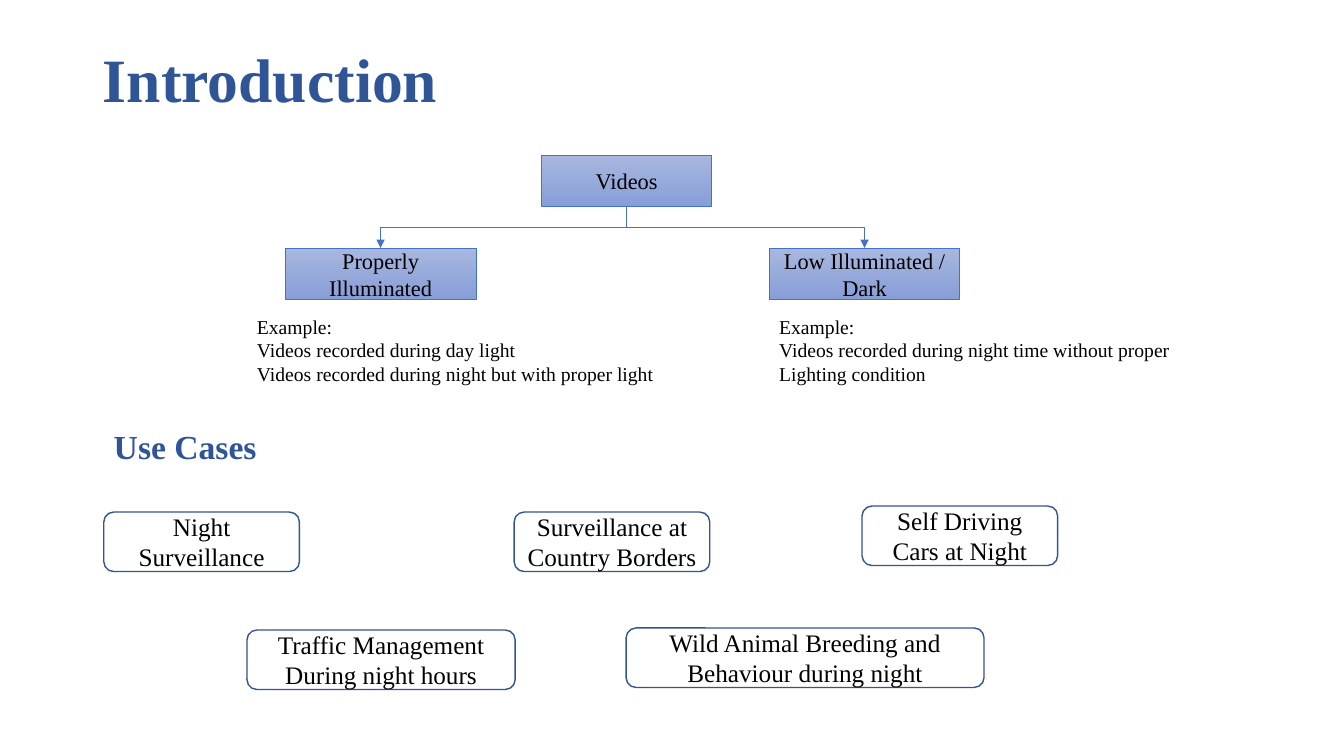
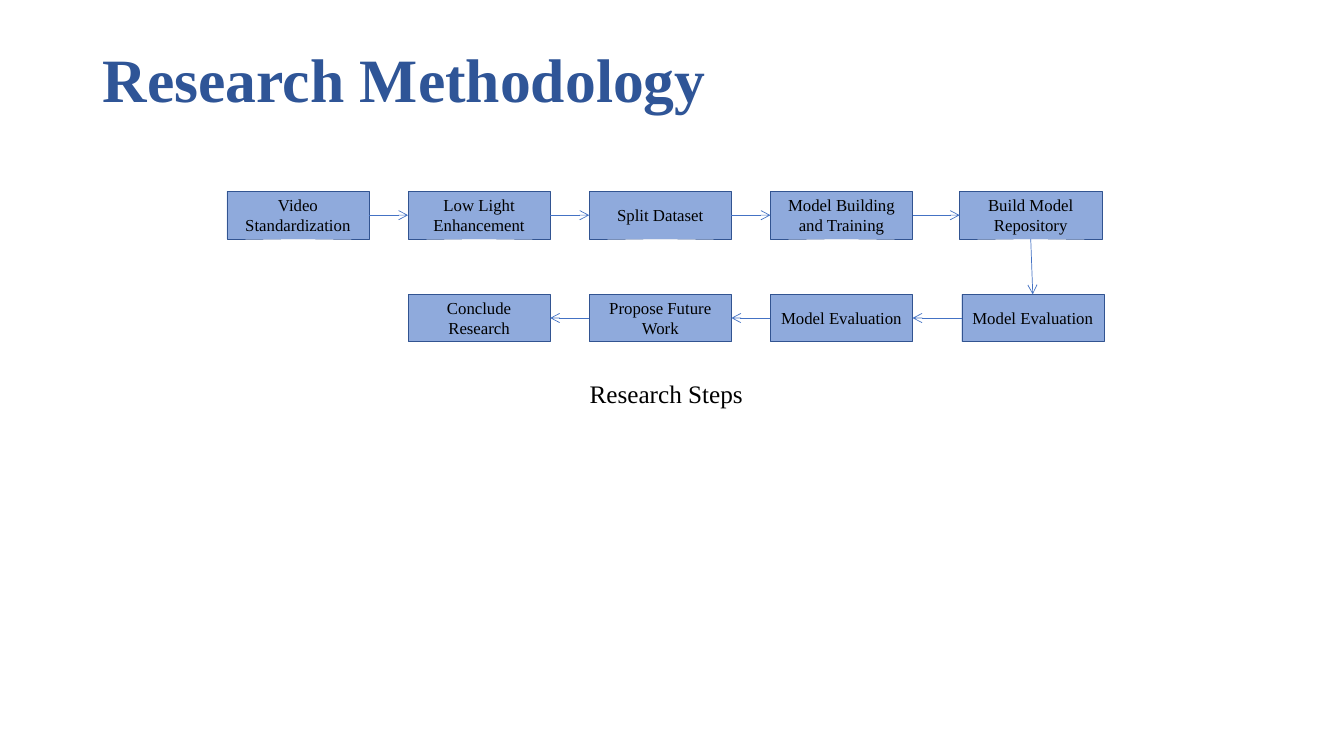
from dataclasses import dataclass
from itertools import pairwise

from lxml.etree import SubElement
from pptx import Presentation
from pptx.dml.color import RGBColor
from pptx.enum.shapes import MSO_CONNECTOR, MSO_SHAPE
from pptx.enum.text import MSO_ANCHOR, MSO_AUTO_SIZE, PP_ALIGN
from pptx.oxml.ns import qn
from pptx.util import Inches, Pt


@dataclass(frozen=True)
class Theme:
    """Colours, font and type sizes shared by the slides."""
    font: str = "Times New Roman"
    heading: str = "2F5597"
    ink: str = "000000"
    accent: str = "4472C4"
    outline: str = "325491"
    step: str = "8FAADC"
    node: tuple = ("A8B7DF", "889ED7")
    title_size: int = 44
    heading_size: int = 24
    body_size: int = 18
    node_size: int = 16
    example_size: int = 14
    step_size: int = 12


T = Theme()
TOP, LEFT, BOTTOM, RIGHT = range(4)


def rgb(code):
    """Turn a hex code into a colour."""
    return RGBColor.from_string(code)


def set_text(tf, text, size, color=T.ink, bold=False, align=PP_ALIGN.LEFT):
    """Fill a text frame and format all its runs."""
    tf.text = text
    for p in tf.paragraphs:
        p.alignment = align
        for r in p.runs:
            r.font.name, r.font.size, r.font.bold = T.font, Pt(size), bold
            r.font.color.rgb = rgb(color)


def add_title_slide(prs, title):
    """Add a title-only slide with the shared title style."""
    s = prs.slides.add_slide(prs.slide_layouts[5])
    sp = s.shapes.title
    sp.left, sp.top = Inches(0.92), Inches(0.09)
    sp.width, sp.height = Inches(11.5), Inches(1.45)
    tf = sp.text_frame
    set_text(tf, title, T.title_size, T.heading, True)
    tf.vertical_anchor = MSO_ANCHOR.MIDDLE
    tf.paragraphs[0].line_spacing = 0.9
    return s


def add_box(s, box, text, size, line, width, fill=None, kind=MSO_SHAPE.RECTANGLE):
    """Add an outlined box with centred text and no, plain or gradient fill."""
    sp = s.shapes.add_shape(kind, *map(Inches, box))
    sp.shadow.inherit = False
    sp.line.color.rgb, sp.line.width = rgb(line), Pt(width)
    if fill is None:
        sp.fill.background()
    elif isinstance(fill, tuple):
        sp.fill.gradient()
        sp.fill.gradient_angle = 270
        for stop, code in zip(sp.fill.gradient_stops, fill):
            stop.color.rgb = rgb(code)
    else:
        sp.fill.solid()
        sp.fill.fore_color.rgb = rgb(fill)
    tf = sp.text_frame
    tf.word_wrap, tf.vertical_anchor = True, MSO_ANCHOR.MIDDLE
    set_text(tf, text, size, align=PP_ALIGN.CENTER)
    return sp


def add_label(s, box, text, size, color=T.ink, bold=False):
    """Add an unwrapped text box that fits its text."""
    tf = s.shapes.add_textbox(*map(Inches, box)).text_frame
    tf.word_wrap, tf.auto_size = False, MSO_AUTO_SIZE.SHAPE_TO_FIT_TEXT
    set_text(tf, text, size, color, bold)


def add_arrow(s, start, start_site, end, end_site, head, kind=MSO_CONNECTOR.STRAIGHT):
    """Connect two boxes with an arrow."""
    c = s.shapes.add_connector(kind, 0, 0, 0, 0)
    c.begin_connect(start, start_site)
    c.end_connect(end, end_site)
    c.line.color.rgb, c.line.width = rgb(T.accent), Pt(0.5)
    SubElement(c.line._get_or_add_ln(), qn("a:tailEnd"), type=head)
    SubElement(c._element.spPr, qn("a:effectLst"))
    return c


def add_branch(s, parent, child):
    """Connect a parent down to a child with a vertical elbow arrow."""
    c = add_arrow(s, parent, BOTTOM, child, TOP, "triangle", MSO_CONNECTOR.ELBOW)
    to_right = c.end_x > c.begin_x
    mid_x, mid_y = (c.begin_x + c.end_x) // 2, (c.begin_y + c.end_y) // 2
    c.width, c.height = c.height, c.width
    c.left, c.top = mid_x - c.width // 2, mid_y - c.height // 2
    xfrm = c._element.spPr.find(qn("a:xfrm"))
    xfrm.set("rot", str((270 if to_right else 90) * 60000))
    xfrm.set("flipH", str(int(to_right)))


def add_video_tree(s, x, y):
    """Draw the split of videos by illumination, with examples."""
    def node(dx, dy, w, text):
        return add_box(s, (x + dx, y + dy, w, 0.51), text, T.node_size, T.accent, 0.5, T.node)

    root = node(2.92, 0, 1.69, "Videos")
    kinds = [
        (0.38, "Properly Illuminated", 0, 4.22,
         "Example:\nVideos recorded during day light\n"
         "Videos recorded during night but with proper light"),
        (5.18, "Low Illuminated / Dark", 5.18, 4.23,
         "Example:\nVideos recorded during night time without proper\nLighting condition"),
    ]
    for dx, name, example_dx, w, example in kinds:
        add_branch(s, root, node(dx, 0.92, 1.89, name))
        add_label(s, (x + example_dx, y + 1.53, w, 0.81), example, T.example_size)


def add_use_cases(s, x, y):
    """Draw the use-case heading and its rounded boxes."""
    add_label(s, (x, y, 1.63, 0.5), "Use Cases", T.heading_size, T.heading, True)
    cases = [
        (0, 0.9, 1.94, "Night Surveillance"),
        (4.07, 0.9, 1.94, "Surveillance at Country Borders"),
        (7.52, 0.84, 1.94, "Self Driving Cars at Night"),
        (5.18, 2.05, 3.55, "Wild Animal Breeding and Behaviour during night"),
        (1.42, 2.07, 2.66, "Traffic Management During night hours"),
    ]
    for dx, dy, w, text in cases:
        add_box(s, (x + dx, y + dy, w, 0.59), text, T.body_size, T.outline, 1,
                kind=MSO_SHAPE.ROUNDED_RECTANGLE)


def add_research_steps(s, x, y):
    """Draw the chain of steps: first row rightwards, second row back."""
    w, h, pitch, row_pitch = 1.41, 0.47, 1.797, 1.02
    forward = ["Video Standardization", "Low Light Enhancement", "Split Dataset",
               "Model Building and Training", "Build Model Repository"]
    back = ["Model Evaluation", "Model Evaluation", "Propose Future Work", "Conclude Research"]
    last = len(forward) - 1
    places = [(i, 0, text) for i, text in enumerate(forward)]
    places += [(last - i, 1, text) for i, text in enumerate(back)]
    steps = []
    for col, row, text in places:
        nudge = 0.08 + 0.02 * row if col == last else 0
        box = (x + col * pitch + nudge, y + row * row_pitch, w, h)
        steps.append((row, add_box(s, box, text, T.step_size, T.outline, 0.25, T.step)))
    sites = {(0, 0): (RIGHT, LEFT), (0, 1): (BOTTOM, TOP), (1, 1): (LEFT, RIGHT)}
    for (row, sp), (next_row, next_sp) in pairwise(steps):
        start_site, end_site = sites[row, next_row]
        add_arrow(s, sp, start_site, next_sp, end_site, "arrow")
    add_label(s, (x + 3.5, y + 1.8, 1.74, 0.4), "Research Steps", T.body_size)


def build_introduction(prs):
    """Build the introduction slide."""
    s = add_title_slide(prs, "Introduction")
    add_video_tree(s, 2.45, 1.54)
    add_use_cases(s, 1.03, 4.18)


def build_methodology(prs):
    """Build the research methodology slide."""
    s = add_title_slide(prs, "Research Methodology")
    add_research_steps(s, 2.25, 1.9)


def main():
    """Build and save the presentation."""
    prs = Presentation()
    prs.slide_width, prs.slide_height = Inches(13.33), Inches(7.5)
    build_introduction(prs)
    build_methodology(prs)
    prs.save("out.pptx")


main()
